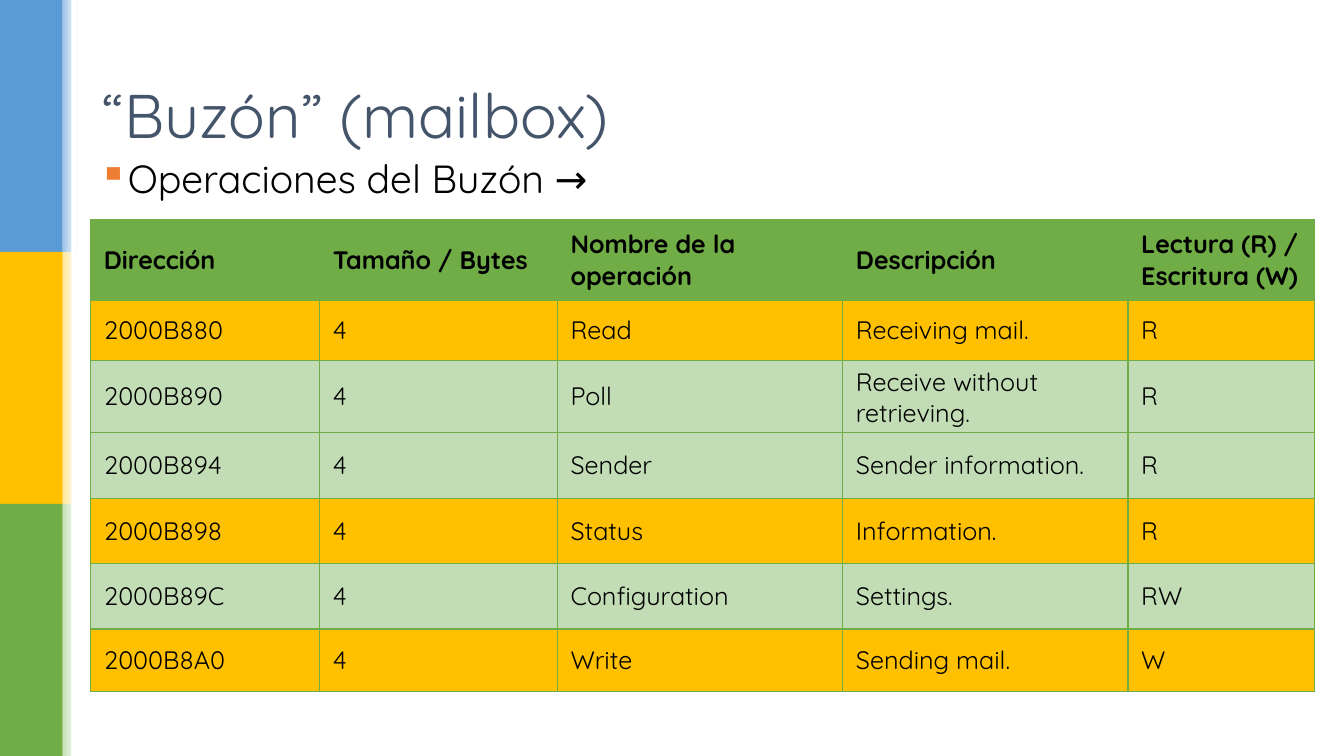
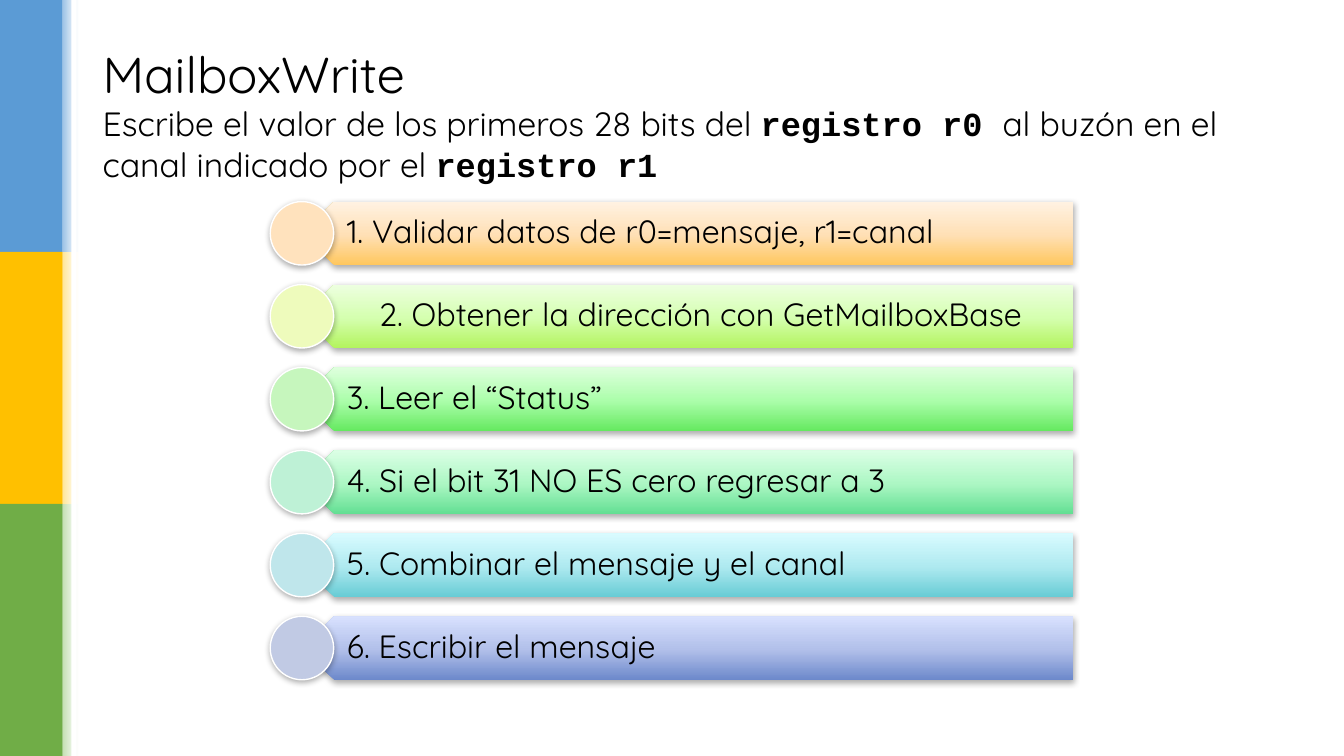
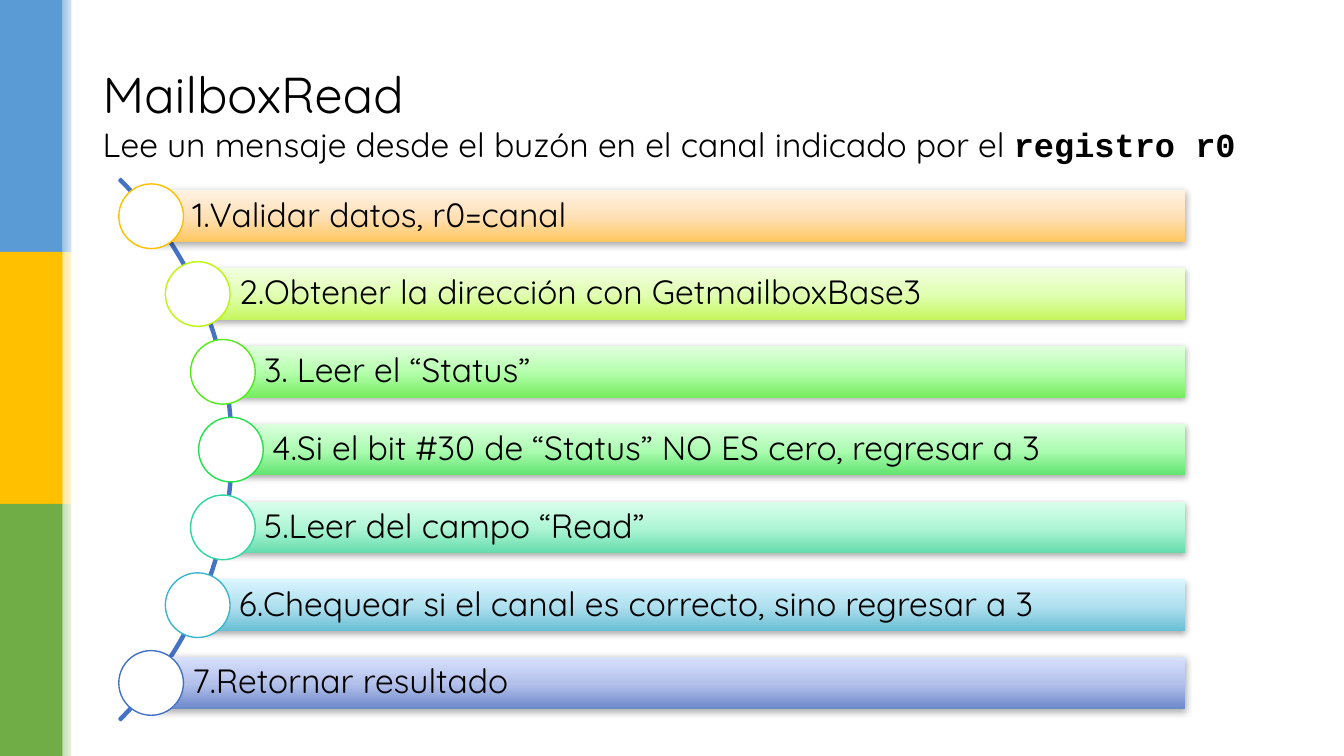
import math

import pptx
import pptx.dml.color
import pptx.enum.shapes
import pptx.enum.text
import pptx.oxml
import pptx.oxml.ns
import pptx.util

Cm = pptx.util.Cm
Pt = pptx.util.Pt
RGBColor = pptx.dml.color.RGBColor
SHAPE = pptx.enum.shapes.MSO_SHAPE
ANCHOR = pptx.enum.text.MSO_ANCHOR
ALIGN = pptx.enum.text.PP_ALIGN
NS = pptx.oxml.ns.nsdecls("a")


def palette(codes):
    """Return the colours named by space-separated hex codes."""
    return tuple(RGBColor.from_string(code) for code in codes.split())


FONT = "Quicksand"
MONO = "Courier New"
SLIDE_H = 19.05
BLACK = RGBColor(0x00, 0x00, 0x00)
WHITE = RGBColor(0xFF, 0xFF, 0xFF)
SLATE = RGBColor(0x44, 0x54, 0x6A)
ORANGE = RGBColor(0xED, 0x7D, 0x31)
AMBER = RGBColor(0xFF, 0xC0, 0x00)
GREEN = RGBColor(0x70, 0xAD, 0x47)
PALE_GREEN = RGBColor(0xC2, 0xDD, 0xB5)
ARC_BLUE = RGBColor(0x44, 0x72, 0xC4)

# Side bands from top to bottom: solid colour, start of the fade
BANDS = [palette("5B9BD5 9DC3E6"), palette("FFC000 FFE699"), palette("70AD47 C5E0B4")]

# Steps: text, three bar colours from bottom to top, and the dot colour
WRITE_STEPS = [
    ("1. Validar datos de r0=mensaje, r1=canal", palette("FFC75E FFE0B6 FFF2E2 FFE2BD")),
    ("2. Obtener la dirección con GetMailboxBase", palette("B3F45E D5FFB0 EDFFE0 EEFBBC")),
    ("3. Leer el “Status”", palette("65E960 ACFEAB DEFFDD C6F6BD")),
    ("4. Si el bit 31 NO ES cero regresar a 3", palette("63DF93 ADF7C4 DBFFE5 BEF1D6")),
    ("5. Combinar el mensaje y el canal", palette("68CCD5 AFEAF0 D9FBFF BFE6EB")),
    ("6. Escribir el mensaje", palette("6D89CB B2C0EA D8E1FE C1CAE4")),
]
READ_STEPS = [
    ("1.Validar datos, r0=canal", palette("FFC75E FFE0B6 FFF2E2 FFC000")),
    ("2.Obtener la dirección con GetmailboxBase3", palette("C6F65E E0FFB1 F2FFE0 BEF50C")),
    ("3. Leer el “Status”", palette("76ED5F B4FFAC E1FFDE 53EB17")),
    ("4.Si el bit #30 de “Status” NO ES cero, regresar a 3",
     palette("61E46F ACFBB1 DCFFDE 23E148")),
    ("5.Leer del campo “Read”", palette("64DCAD AEF5D4 DAFFED 2ED7A1")),
    ("6.Chequear si el canal es correcto, sino regresar a 3",
     palette("69BFD3 B0E0EF D9F5FF 39B6CE")),
    ("7.Retornar resultado", palette("6D89CB B2C0EA D8E1FE 4472C4")),
]

COLUMN_WIDTHS = [5.77, 5.99, 7.19, 7.19, 4.7]
# Operations: row height, row colour, cell texts
OPERATIONS = [
    (2.03, GREEN, ["Dirección", "Tamaño / Bytes", "Nombre de la operación",
                   "Descripción", "Lectura (R) / Escritura (W)"]),
    (1.52, AMBER, ["2000B880", "4", "Read", "Receiving mail.", "R"]),
    (1.8, PALE_GREEN, ["2000B890", "4", "Poll", "Receive without retrieving.", "R"]),
    (1.68, PALE_GREEN, ["2000B894", "4", "Sender", "Sender information.", "R"]),
    (1.63, AMBER, ["2000B898", "4", "Status", "Information.", "R"]),
    (1.65, PALE_GREEN, ["2000B89C", "4", "Configuration", "Settings.", "RW"]),
    (1.57, AMBER, ["2000B8A0", "4", "Write", "Sending mail.", "W"]),
]


def add_run(p, text, font=FONT, size=24, color=BLACK, bold=False):
    """Append formatted text to a paragraph."""
    r = p.add_run()
    r.text = text
    r.font.name = font
    r.font.size = Pt(size)
    r.font.color.rgb = color
    r.font.bold = bold


def add_label(s, box, text, anchor=ANCHOR.MIDDLE, align=ALIGN.LEFT, spacing=0.9,
              insets=(0.25, 0.13, 0.25, 0.13), **font):
    """Add a wrapping text box and return its paragraph."""
    tf = s.shapes.add_textbox(*map(Cm, box)).text_frame
    tf.word_wrap = True
    tf.vertical_anchor = anchor
    tf.margin_left, tf.margin_top, tf.margin_right, tf.margin_bottom = map(Cm, insets)
    p = tf.paragraphs[0]
    p.alignment = align
    p.line_spacing = spacing
    add_run(p, text, **font)
    return p


def add_title(s, text, **font):
    """Add the slide title and return its paragraph."""
    return add_label(s, (2.34, 1.02, 29.21, 3.68), text, spacing=1.0, **font)


def add_routine_title(s, name, parts):
    """Add a routine name with its description, register names in monospace."""
    p = add_title(s, name, size=36)
    p.add_line_break()
    for i, text in enumerate(parts):
        is_register = i % 2 == 1
        add_run(p, text, font=MONO if is_register else FONT, bold=is_register)


def add_bullet(p, char, color, indent):
    """Give a paragraph a coloured bullet with a hanging indent."""
    pPr = p._p.get_or_add_pPr()
    pPr.set("marL", str(Cm(indent)))
    pPr.set("indent", str(-Cm(indent)))
    for xml in (f'<a:buClr {NS}><a:srgbClr val="{color}"/></a:buClr>',
                f'<a:buChar {NS} char="{char}"/>'):
        pPr.append(pptx.oxml.parse_xml(xml))


def add_figure(s, kind, box, fill=None, line=None, weight=1):
    """Add a preset shape with a plain fill and outline, either optional."""
    sp = s.shapes.add_shape(kind, *map(Cm, box))
    sp.shadow.inherit = False
    if fill is None:
        sp.fill.background()
    else:
        sp.fill.solid()
        sp.fill.fore_color.rgb = fill
    if line is None:
        sp.line.fill.background()
    else:
        sp.line.color.rgb = line
        sp.line.width = Pt(weight)
    return sp


def set_gradient(sp, stops, angle):
    """Replace the fill with a linear gradient of (percent, colour) stops."""
    gs = "".join(f'<a:gs pos="{pos * 1000}"><a:srgbClr val="{color}"/></a:gs>'
                 for pos, color in stops)
    spPr = sp._element.spPr
    spPr.replace(spPr.find(pptx.oxml.ns.qn("a:noFill")), pptx.oxml.parse_xml(
        f'<a:gradFill {NS} rotWithShape="0"><a:gsLst>{gs}</a:gsLst>'
        f'<a:lin ang="{angle * 60000}" scaled="0"/></a:gradFill>'))


def add_shadow(sp):
    """Give a shape a soft shadow just below it."""
    sp._element.spPr.find(pptx.oxml.ns.qn("a:effectLst")).append(pptx.oxml.parse_xml(
        f'<a:outerShdw {NS} blurRad="{Pt(4.5)}" dist="{Pt(1.5)}" dir="5400000" '
        'algn="ctr" rotWithShape="0"><a:srgbClr val="000000"><a:alpha val="32000"/>'
        '</a:srgbClr></a:outerShdw>'))


def add_bar(s, kind, box, colors):
    """Add a shaded step bar, darkest at the bottom."""
    sp = add_figure(s, kind, box)
    set_gradient(sp, zip((0, 48, 100), colors), 270)
    add_shadow(sp)
    return sp


def add_slide(prs):
    """Add a blank slide with the coloured side bands."""
    s = prs.slides.add_slide(prs.slide_layouts[6])
    height = SLIDE_H / len(BANDS)
    for i, (color, fade) in enumerate(BANDS):
        add_figure(s, SHAPE.RECTANGLE, (0, i * height, 1.58, height), color)
        sp = add_figure(s, SHAPE.RECTANGLE, (1.58, i * height, 0.4, height))
        set_gradient(sp, [(0, fade), (100, WHITE)], 0)
    add_figure(s, SHAPE.RECTANGLE, (1.8, 0, 0.13, SLIDE_H), WHITE)
    return s


def format_cell(cell, text, fill, bold):
    """Fill a table cell, write its text and draw its borders."""
    cell.fill.solid()
    cell.fill.fore_color.rgb = fill
    cell.vertical_anchor = ANCHOR.MIDDLE
    cell.margin_left = cell.margin_right = Cm(0.33)
    cell.margin_top = cell.margin_bottom = Cm(0.13)
    add_run(cell.text_frame.paragraphs[0], text, size=18, bold=bold)
    tcPr = cell._tc.get_or_add_tcPr()
    for i, side in enumerate("LRTB"):
        tcPr.insert(i, pptx.oxml.parse_xml(
            f'<a:ln{side} {NS} w="{Pt(1)}"><a:solidFill><a:srgbClr val="{GREEN}"/>'
            f'</a:solidFill></a:ln{side}>'))


def add_operations_table(s, left, top):
    """Add the table of mailbox operations."""
    size = sum(COLUMN_WIDTHS), sum(height for height, _, _ in OPERATIONS)
    table = s.shapes.add_table(len(OPERATIONS), len(COLUMN_WIDTHS),
                               *map(Cm, (left, top, *size))).table
    table.horz_banding = False
    for column, width in zip(table.columns, COLUMN_WIDTHS):
        column.width = Cm(width)
    for i, (height, fill, texts) in enumerate(OPERATIONS):
        table.rows[i].height = Cm(height)
        for cell, text in zip(table.rows[i].cells, texts):
            format_cell(cell, text, fill, bold=i == 0)


def add_straight_steps(s, steps):
    """Stack arrow bars, each with a dot over its tip."""
    top, pitch, size = 5.08, 2.09, 1.6
    for i, (text, (*shades, dot)) in enumerate(steps):
        y = top + i * pitch
        add_bar(s, SHAPE.PENTAGON, (7.62, y, 19.43, size), shades).rotation = 180
        add_label(s, (8.03, y, 19.02, size), text, size=23,
                  align=ALIGN.CENTER if i == 1 else ALIGN.LEFT,
                  insets=(0.71, 0.25, 0.46, 0.25))
        add_shadow(add_figure(s, SHAPE.OVAL, (6.81, y, size, size), dot, WHITE))


def add_curved_steps(s, steps):
    """Place step bars along an arc, each starting at a dot on the curve."""
    center_x, center_y, arc_size = -3.78, 11.33, 19.3
    radius, pitch, right = 9.6, 1.96, 29.87
    bar_h, dot_size = 1.3, 1.63
    arc = add_figure(s, SHAPE.BLOCK_ARC, (center_x - arc_size / 2, center_y - arc_size / 2,
                                          arc_size, arc_size), line=ARC_BLUE, weight=1.5)
    for i, value in enumerate((189, 27, 0.003)):
        arc.adjustments[i] = value
    for i, (text, (*shades, ring)) in enumerate(steps):
        rise = (i - (len(steps) - 1) / 2) * pitch
        x, y = center_x + math.sqrt(radius ** 2 - rise ** 2), center_y + rise
        box = (x, y - bar_h / 2, right - x, bar_h)
        add_bar(s, SHAPE.RECTANGLE, box, shades)
        add_label(s, box, text, insets=(1.04, 0.18, 0.18, 0.18))
        add_figure(s, SHAPE.OVAL, (x - dot_size / 2, y - dot_size / 2, dot_size, dot_size),
                   WHITE, ring)


def add_mailbox_slide(prs):
    """Build the slide that lists the mailbox operations."""
    s = add_slide(prs)
    add_title(s, "“Buzón” (mailbox)", size=44, color=SLATE)
    p = add_label(s, (2.24, 3.89, 29.21, 12.09), "Operaciones del Buzón →",
                  anchor=ANCHOR.TOP, size=28)
    add_bullet(p, "▪", ORANGE, 0.64)
    add_operations_table(s, 2.29, 5.54)


def add_write_slide(prs):
    """Build the slide of the MailboxWrite steps."""
    s = add_slide(prs)
    add_straight_steps(s, WRITE_STEPS)
    add_routine_title(s, "MailboxWrite ", [
        "Escribe el valor de los primeros 28 bits del ", "registro r0 ",
        "al buzón en el canal indicado por el ", "registro r1"])


def add_read_slide(prs):
    """Build the slide of the MailboxRead steps."""
    s = add_slide(prs)
    add_curved_steps(s, READ_STEPS)
    add_routine_title(s, "MailboxRead", [
        "Lee un mensaje desde el buzón en el canal indicado por el ", "registro r0"])


def main():
    """Build and save the presentation."""
    prs = pptx.Presentation()
    prs.slide_width, prs.slide_height = Cm(33.87), Cm(SLIDE_H)
    add_mailbox_slide(prs)
    add_write_slide(prs)
    add_read_slide(prs)
    prs.save("out.pptx")


main()
